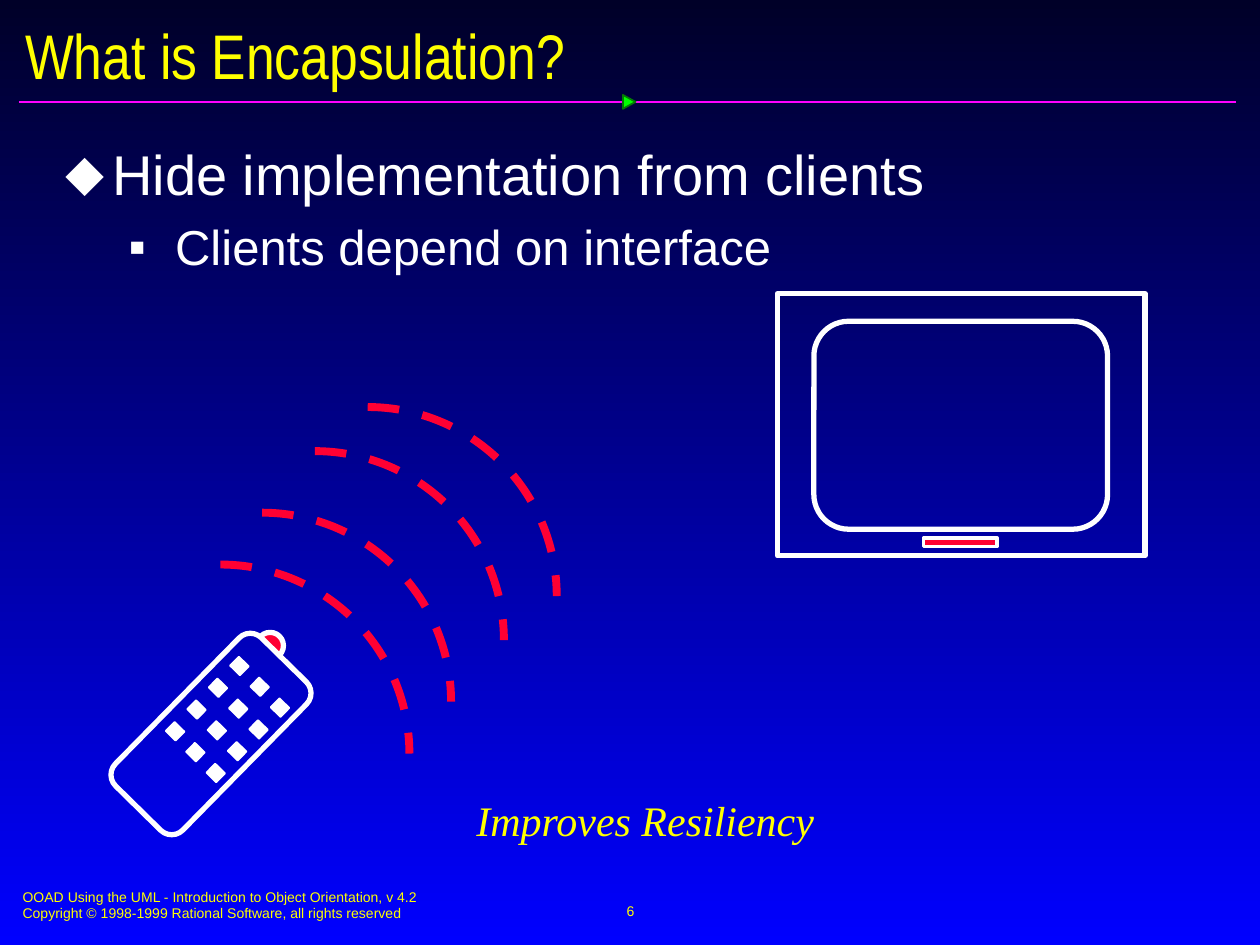
from lxml import etree
from pptx import Presentation
from pptx.dml.color import RGBColor
from pptx.enum.dml import MSO_LINE
from pptx.enum.shapes import MSO_CONNECTOR, MSO_SHAPE
from pptx.enum.text import MSO_ANCHOR, MSO_AUTO_SIZE, PP_ALIGN
from pptx.oxml.ns import qn
from pptx.util import Pt

RECTANGLE = MSO_SHAPE.RECTANGLE
ROUNDED = MSO_SHAPE.ROUNDED_RECTANGLE
ARC = MSO_SHAPE.ARC
TRIANGLE = MSO_SHAPE.ISOSCELES_TRIANGLE
LEFT, CENTER = PP_ALIGN.LEFT, PP_ALIGN.CENTER
TOP, MIDDLE = MSO_ANCHOR.TOP, MSO_ANCHOR.MIDDLE

WHITE, YELLOW, RED = "FFFFFF", "FFFF00", "FF0033"
MAGENTA, GREEN, DARK_GREEN = "FF01FF", "00FF00", "037C03"
BACKGROUND = ["000028", "0000FF"]

TITLE = "What is Encapsulation?"
BULLETS = [
    {"text": "Hide implementation from clients", "level": 0, "size": 32,
     "bullet": "⬥", "indent": 26.64, "spacing": 0.8, "before": 0},
    {"text": "Clients depend on interface", "level": 1, "size": 28,
     "bullet": "▪", "indent": 62.64, "spacing": 0.87, "before": 10.5},
]
HANGING = 26.64
CONCLUSION = "Improves Resiliency"
FOOTER = [
    "OOAD Using the UML - Introduction to Object Orientation, v 4.2",
    "Copyright © 1998-1999 Rational Software, all rights reserved",
]
PAGE_NUMBER = "6"

WAVE_SIZE = 216
WAVES = [(18, 322.6), (41.8, 293), (72, 257.8), (102.2, 232.6)]
REMOTE_TILT = 314.5
KEY_ROWS, KEY_COLUMNS = 4, 3
KEY_START = (133.2, 376.6)
KEY_SIZE = (7.2, 7.9)
COLUMN_STEP = (11.6, 11.9)
ROW_STEP = (-12.24, 12.45)


def colour(hex_text):
    return RGBColor.from_string(hex_text)


def place(shape, left, top, width, height):
    shape.left, shape.top = Pt(left), Pt(top)
    shape.width, shape.height = Pt(width), Pt(height)


def add_bullet(para, symbol, indent):
    properties = para._p.get_or_add_pPr()
    properties.set("marL", str(Pt(indent)))
    properties.set("indent", str(Pt(-HANGING)))
    tint = etree.SubElement(properties, qn("a:buClr"))
    etree.SubElement(tint, qn("a:srgbClr"), val=WHITE)
    etree.SubElement(properties, qn("a:buChar"), char=symbol)


def write(para, text, font="Arial", size=8, tint=YELLOW, italic=False,
          align=LEFT, before=0, spacing=1.0):
    para.alignment = align
    para.space_before = Pt(before)
    para.line_spacing = spacing
    span = para.add_run()
    span.text = text
    span.font.name = font
    span.font.size = Pt(size)
    span.font.italic = italic
    span.font.color.rgb = colour(tint)


def prepare_frame(frame, anchor=TOP, side=7.2, edge=3.6):
    frame.word_wrap = True
    frame.auto_size = MSO_AUTO_SIZE.NONE
    frame.vertical_anchor = anchor
    frame.margin_left = frame.margin_right = Pt(side)
    frame.margin_top = frame.margin_bottom = Pt(edge)


def add_text(page, lines, bounds, anchor=TOP, **formatting):
    box = page.shapes.add_textbox(*map(Pt, bounds))
    frame = box.text_frame
    prepare_frame(frame, anchor)
    for index, line in enumerate(lines):
        para = frame.add_paragraph() if index else frame.paragraphs[0]
        write(para, line, **formatting)


def add_outline(page, kind, bounds, line, weight, fill=None, tilt=0):
    shape = page.shapes.add_shape(kind, *map(Pt, bounds))
    shape.shadow.inherit = False
    shape.rotation = tilt
    if fill:
        shape.fill.solid()
        shape.fill.fore_color.rgb = colour(fill)
    else:
        shape.fill.background()
    shape.line.color.rgb = colour(line)
    shape.line.width = Pt(weight)
    return shape


def paint_background(page):
    fill = page.background.fill
    fill.gradient()
    fill.gradient_angle = 270
    for position, (stop, tint) in enumerate(zip(fill.gradient_stops, BACKGROUND)):
        stop.color.rgb = colour(tint)
        stop.position = position


def add_title_rule(page):
    rule = page.shapes.add_connector(
        MSO_CONNECTOR.STRAIGHT, Pt(10.8), Pt(58.2), Pt(706.3), Pt(58.2))
    rule.line.color.rgb = colour(MAGENTA)
    rule.line.width = Pt(1)
    etree.SubElement(rule._element.spPr, qn("a:effectLst"))
    add_outline(page, TRIANGLE, (355.6, 54.6, 7.9, 7.2), DARK_GREEN, 1, GREEN, 90)


def add_waves(page):
    for left, top in WAVES:
        wave = add_outline(page, ARC, (left, top, WAVE_SIZE, WAVE_SIZE), RED, 4.5)
        wave.line.dash_style = MSO_LINE.DASH


def add_television(page):
    add_outline(page, RECTANGLE, (444.2, 167.8, 210.2, 149.8), WHITE, 3)
    add_outline(page, ROUNDED, (465.1, 183.6, 167.8, 118.8), WHITE, 3)
    add_outline(page, RECTANGLE, (527.8, 307.4, 42, 5), WHITE, 2, RED)


def add_remote(page):
    lamp = add_outline(page, ARC, (146.8, 361.4, 15.2, 15.2), WHITE, 3, RED)
    for index, degrees in enumerate((225, 45)):
        lamp.adjustments[index] = degrees * 0.6
    add_outline(page, ROUNDED, (61.2, 392.4, 118.8, 54), WHITE, 3, tilt=REMOTE_TILT)
    for row in range(KEY_ROWS):
        for column in range(KEY_COLUMNS):
            corner = [start + column * across + row * down for start, across, down
                      in zip(KEY_START, COLUMN_STEP, ROW_STEP)]
            add_outline(page, RECTANGLE, (*corner, *KEY_SIZE), WHITE, 1, WHITE,
                        REMOTE_TILT)


def fill_placeholders(page):
    title, body = page.placeholders
    place(title, 7.2, 10.1, 708.5, 41.8)
    prepare_frame(title.text_frame, MIDDLE)
    write(title.text_frame.paragraphs[0], TITLE, font="Arial Narrow", size=36)

    place(body, 28.8, 82.8, 668.9, 397.4)
    frame = body.text_frame
    prepare_frame(frame, side=8.64, edge=4.32)
    for index, item in enumerate(BULLETS):
        para = frame.add_paragraph() if index else frame.paragraphs[0]
        para.level = item["level"]
        add_bullet(para, item["bullet"], item["indent"])
        write(para, item["text"], size=item["size"], tint=WHITE,
              before=item["before"], spacing=item["spacing"])


def main():
    deck = Presentation()
    deck.slide_width, deck.slide_height = Pt(720), Pt(540)
    page = deck.slides.add_slide(deck.slide_layouts[1])
    paint_background(page)
    fill_placeholders(page)
    add_title_rule(page)
    add_text(page, FOOTER, (5.8, 504, 367.2, 26.6))
    add_text(page, [PAGE_NUMBER], (246.2, 502.6, 228.2, 36), MIDDLE, align=CENTER)
    add_waves(page)
    add_television(page)
    add_remote(page)
    add_text(page, [CONCLUSION], (203.8, 450.7, 329.8, 37.4),
             font="Times New Roman", size=24, italic=True, align=CENTER)
    deck.save("out.pptx")


if __name__ == "__main__":
    main()
